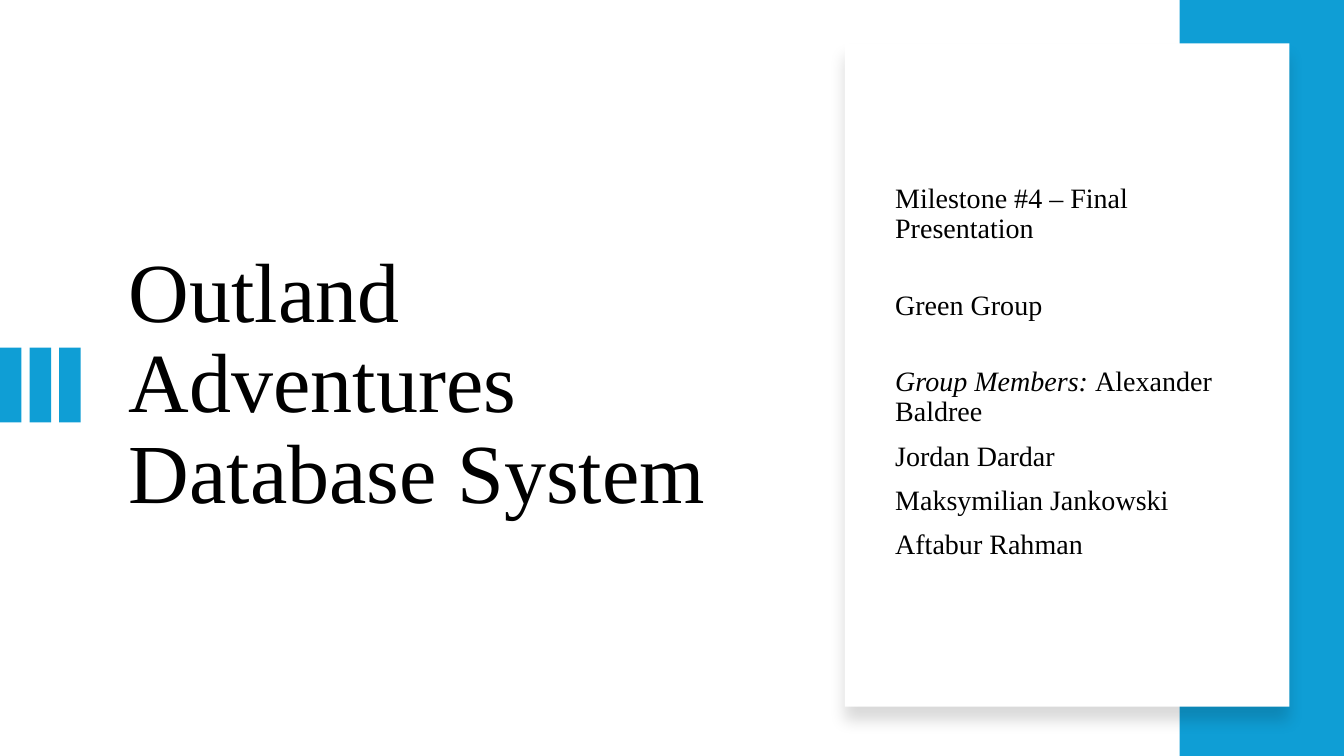
from dataclasses import dataclass

from lxml.etree import SubElement
from pptx import Presentation
from pptx.dml.color import RGBColor
from pptx.enum.shapes import MSO_SHAPE
from pptx.enum.text import MSO_ANCHOR
from pptx.oxml.ns import qn
from pptx.util import Inches, Pt


@dataclass(frozen=True)
class Theme:
    accent: str = "0F9ED5"
    paper: str = "FFFFFF"
    ink: str = "000000"
    font: str = "Times New Roman"
    title: int = 60
    body: int = 20
    line: float = 0.9
    gap: int = 10
    section_gap: int = 33


T = Theme()
W, H = 13.33, 7.5
DETAILS = [
    # space before in points, then (text, italic) runs
    (0, [("Milestone #4 – Final Presentation", False)]),
    (T.section_gap, [("Green Group", False)]),
    (T.section_gap, [("Group Members: ", True), ("Alexander Baldree", False)]),
    (T.gap, [("Jordan Dardar", False)]),
    (T.gap, [("Maksymilian Jankowski", False)]),
    (T.gap, [("Aftabur Rahman", False)]),
]


def set_all(obj, values):
    for name, value in values.items():
        setattr(obj, name, value)


def add_rect(s, box, color):
    sp = s.shapes.add_shape(MSO_SHAPE.RECTANGLE, *map(Inches, box))
    sp.shadow.inherit = False
    sp.fill.solid()
    sp.fill.fore_color.rgb = RGBColor.from_string(color)
    sp.line.fill.background()
    return sp


def add_drop_shadow(sp, blur=11, dist=10, angle=90, alpha=15):
    effects = sp._element.spPr.find(qn("a:effectLst"))
    shadow = SubElement(effects, qn("a:outerShdw"), blurRad=str(Pt(blur)),
                        dist=str(Pt(dist)), dir=str(angle * 60000),
                        algn="t", rotWithShape="0")
    color = SubElement(shadow, qn("a:srgbClr"), val=T.ink)
    SubElement(color, qn("a:alpha"), val=str(alpha * 1000))


def add_text(s, box, paragraphs, size, anchor):
    tf = s.shapes.add_textbox(*map(Inches, box)).text_frame
    set_all(tf, {"word_wrap": True, "vertical_anchor": anchor})
    for i, (before, runs) in enumerate(paragraphs):
        p = tf.add_paragraph() if i else tf.paragraphs[0]
        set_all(p, {"line_spacing": T.line, "space_before": Pt(before)})
        for text, italic in runs:
            r = p.add_run()
            r.text = text
            set_all(r.font, {"name": T.font, "size": Pt(size), "italic": italic})
            r.font.color.rgb = RGBColor.from_string(T.ink)


def add_title(s, box):
    add_text(s, box, [(0, [("Outland Adventures Database System", False)])],
             T.title, MSO_ANCHOR.MIDDLE)


def add_bars(s, box, count=3, gap=0.08):
    """Fill the box with equal upright bars."""
    x, y, w, h = box
    bar = (w - gap * (count - 1)) / count
    for i in range(count):
        add_rect(s, (x + i * (bar + gap), y, bar, h), T.accent)


def add_details_card(s, box):
    x, y, w, h = box
    add_drop_shadow(add_rect(s, box, T.paper))
    pad = 0.4
    add_text(s, (x + pad, y + 0.205 * h, w - 2 * pad, 0.6 * h),
             DETAILS, T.body, MSO_ANCHOR.TOP)


def main():
    prs = Presentation()
    set_all(prs, {"slide_width": Inches(W), "slide_height": Inches(H)})
    s = prs.slides.add_slide(prs.slide_layouts[6])
    s.background.fill.solid()
    s.background.fill.fore_color.rgb = RGBColor.from_string(T.paper)
    add_title(s, (1.18, H / 6, 6.6, 5.15))
    add_bars(s, (0, 0.46 * H, 0.06 * W, 0.74))
    band = 1.63
    add_rect(s, (W - band, 0, band, H), T.accent)
    add_details_card(s, (8.38, 0.43, 4.41, 6.58))
    prs.save("out.pptx")


if __name__ == "__main__":
    main()
